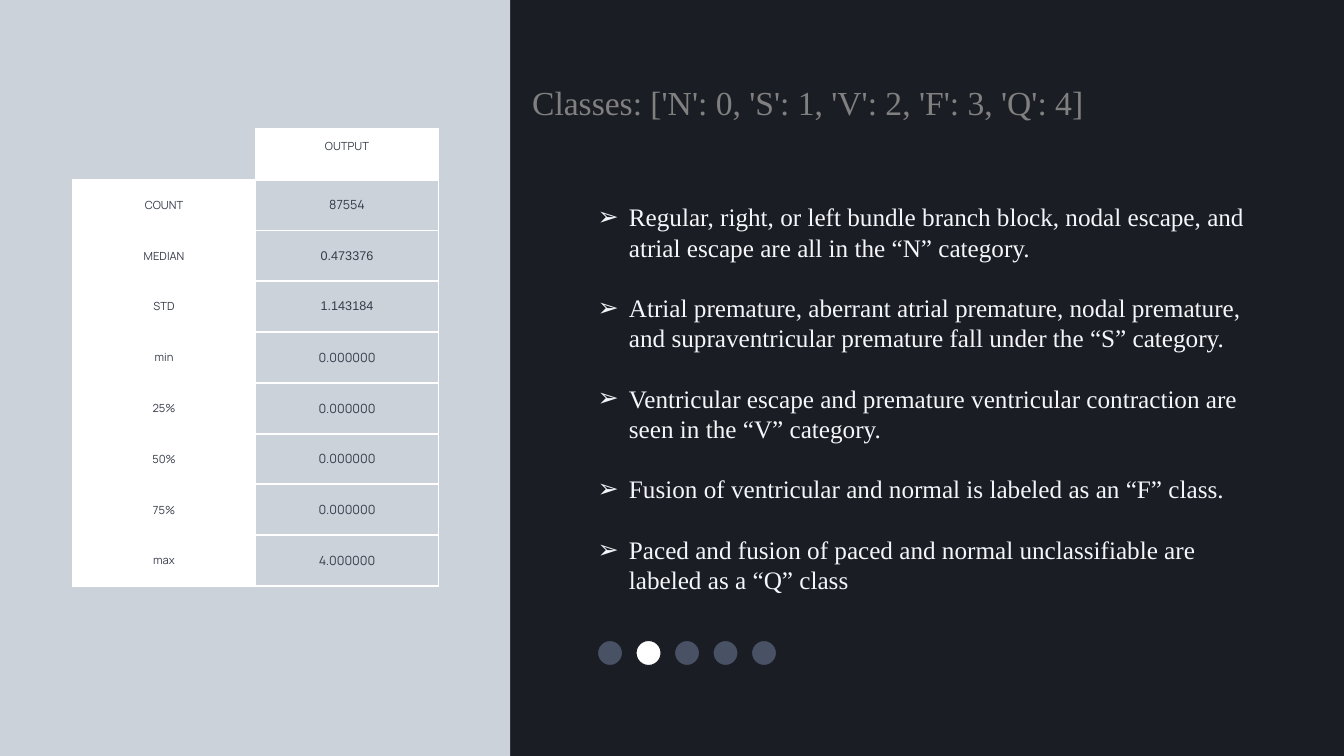
from lxml.etree import SubElement
from pptx import Presentation
from pptx.dml.color import RGBColor
from pptx.enum.shapes import MSO_SHAPE
from pptx.enum.text import MSO_ANCHOR, MSO_AUTO_SIZE, PP_ALIGN
from pptx.oxml.ns import qn
from pptx.util import Cm, Pt

DARK = "1A1D24"
PALE = "CCD2D9"
WHITE = "FFFFFF"
SLATE = "495165"
INK = "353B48"
GREY = "808080"
OFF_WHITE = "F5F6FA"

TITLE = "Classes: ['N': 0, 'S': 1, 'V': 2, 'F': 3, 'Q': 4]"
CLASS_NOTES = [
    "Regular, right, or left bundle branch block, nodal escape, and atrial escape are all in the “N” category.",
    "Atrial premature, aberrant atrial premature, nodal premature, and supraventricular premature fall under the “S” category.",
    "Ventricular escape and premature ventricular contraction are seen in the “V” category.",
    "Fusion of ventricular and normal is labeled as an “F” class.",
    "Paced and fusion of paced and normal unclassifiable are labeled as a “Q” class",
]
STATISTICS = [
    ("COUNT", "87554", "Manrope"),
    ("MEDIAN", "0.473376", "Arial"),
    ("STD", "1.143184", "Arial"),
    ("min", "0.000000", "Manrope"),
    ("25%", "0.000000", "Manrope"),
    ("50%", "0.000000", "Manrope"),
    ("75%", "0.000000", "Manrope"),
    ("max", "4.000000", "Manrope"),
]


def color(value):
    """Turn a hex string into a colour."""
    return RGBColor.from_string(value)


def format_runs(paragraph, name, size, value):
    """Set font, size and colour on every run of a paragraph."""
    for run in paragraph.runs:
        run.font.name = name
        run.font.size = Pt(size)
        run.font.bold = False
        run.font.color.rgb = color(value)


def place_text(shape, left, top, width, height, wrap):
    """Move a placeholder into its box (in cm) and clear its insets."""
    shape.left, shape.top = Cm(left), Cm(top)
    shape.width, shape.height = Cm(width), Cm(height)
    frame = shape.text_frame
    frame.margin_left = frame.margin_right = frame.margin_top = frame.margin_bottom = 0
    frame.auto_size = MSO_AUTO_SIZE.NONE
    frame.vertical_anchor = MSO_ANCHOR.TOP
    frame.word_wrap = wrap
    return frame


def add_title(slide, left, top, width, height):
    """Fill the title placeholder with the class codes."""
    frame = place_text(slide.shapes.title, left, top, width, height, False)
    frame.text = TITLE
    paragraph = frame.paragraphs[0]
    paragraph.alignment = PP_ALIGN.LEFT
    format_runs(paragraph, "Times New Roman", 24, GREY)


def add_bullet(paragraph, indent):
    """Give a paragraph an arrow bullet with a hanging indent in cm."""
    properties = paragraph._p.get_or_add_pPr()
    properties.set("marL", str(Cm(indent)))
    properties.set("indent", str(-Cm(indent)))
    SubElement(properties, qn("a:buFont"), typeface="Arial")
    SubElement(properties, qn("a:buChar"), char="➢")


def add_class_notes(slide, left, top, width, height):
    """Fill the body placeholder with one bullet per class."""
    frame = place_text(slide.placeholders[1], left, top, width, height, True)
    for index, note in enumerate(CLASS_NOTES):
        paragraph = frame.add_paragraph() if index else frame.paragraphs[0]
        paragraph.text = note
        add_bullet(paragraph, 0.79)
        paragraph.line_spacing = Pt(21.6)
        paragraph.space_before = Pt(21.6 if index else 0)
        format_runs(paragraph, "Times New Roman", 18, OFF_WHITE)


def add_shape(slide, kind, left, top, width, height, fill):
    """Draw a filled preset shape in a box given in cm."""
    shape = slide.shapes.add_shape(kind, Cm(left), Cm(top), Cm(width), Cm(height))
    shape.shadow.inherit = False
    shape.fill.solid()
    shape.fill.fore_color.rgb = color(fill)
    return shape


def add_side_panel(slide, left, top, width, height):
    """Draw the pale panel behind the table."""
    panel = add_shape(slide, MSO_SHAPE.RECTANGLE, left, top, width, height, PALE)
    panel.line.fill.background()


def add_page_dots(slide, left, top, diameter, pitch, count, active):
    """Draw a row of progress dots with the active one in white."""
    for index in range(count):
        fill = WHITE if index == active else SLATE
        dot = add_shape(slide, MSO_SHAPE.OVAL, left + index * pitch, top, diameter, diameter, fill)
        dot.line.color.rgb = color(DARK)
        dot.line.width = Pt(0.75)


def add_borders(cell, visible):
    """Draw white borders on the visible sides and none on the others."""
    properties = cell._tc.get_or_add_tcPr()
    for side in "LRTB":
        line = SubElement(properties, qn(f"a:ln{side}"), w=str(Pt(1.5)))
        if side in visible:
            solid = SubElement(line, qn("a:solidFill"))
            SubElement(solid, qn("a:srgbClr"), val=WHITE)
        else:
            SubElement(line, qn("a:noFill"))


def fill_cell(cell, text, font, size, filled, anchor=MSO_ANCHOR.MIDDLE, borders="LRTB"):
    """Write and format one table cell."""
    cell.margin_left = cell.margin_right = cell.margin_top = cell.margin_bottom = Cm(0.25)
    cell.vertical_anchor = anchor
    add_borders(cell, borders)
    if filled:
        cell.fill.solid()
        cell.fill.fore_color.rgb = color(WHITE)
    else:
        cell.fill.background()
    cell.text_frame.text = text
    paragraph = cell.text_frame.paragraphs[0]
    paragraph.alignment = PP_ALIGN.CENTER
    format_runs(paragraph, font, size, INK)


def add_statistics_table(slide, left, top, width, header_height, row_height):
    """Build the table of output statistics."""
    row_count = len(STATISTICS) + 1
    height = header_height + row_height * len(STATISTICS)
    frame = slide.shapes.add_table(row_count, 2, Cm(left), Cm(top), Cm(width), Cm(height))
    table = frame.table
    table.first_row = table.horz_banding = False
    for index, row in enumerate(table.rows):
        row.height = Cm(row_height if index else header_height)
    fill_cell(table.cell(0, 0), "", "Manrope", 8, False, borders="RB")
    fill_cell(table.cell(0, 1), "OUTPUT", "Manrope", 8, True, MSO_ANCHOR.TOP)
    for index, (label, value, font) in enumerate(STATISTICS, start=1):
        fill_cell(table.cell(index, 0), label, "Manrope", 8, True)
        fill_cell(table.cell(index, 1), value, font, 9, False)


def add_classes_slide(presentation):
    """Build the slide with the statistics table and class notes."""
    slide = presentation.slides.add_slide(presentation.slide_layouts[1])
    slide.background.fill.solid()
    slide.background.fill.fore_color.rgb = color(DARK)
    add_side_panel(slide, 0, 0, 12.86, 19.05)
    add_title(slide, 13.41, 2.06, 14.05, 1.02)
    add_class_notes(slide, 15.06, 5.08, 16.81, 10.01)
    add_page_dots(slide, 15.06, 16.14, 0.63, 0.97, count=5, active=1)
    add_statistics_table(slide, 1.83, 3.25, 9.22, 1.22, 1.28)


def main():
    """Create and save the presentation."""
    presentation = Presentation()
    presentation.slide_width, presentation.slide_height = Cm(33.87), Cm(19.05)
    add_classes_slide(presentation)
    presentation.save("out.pptx")


if __name__ == "__main__":
    main()
